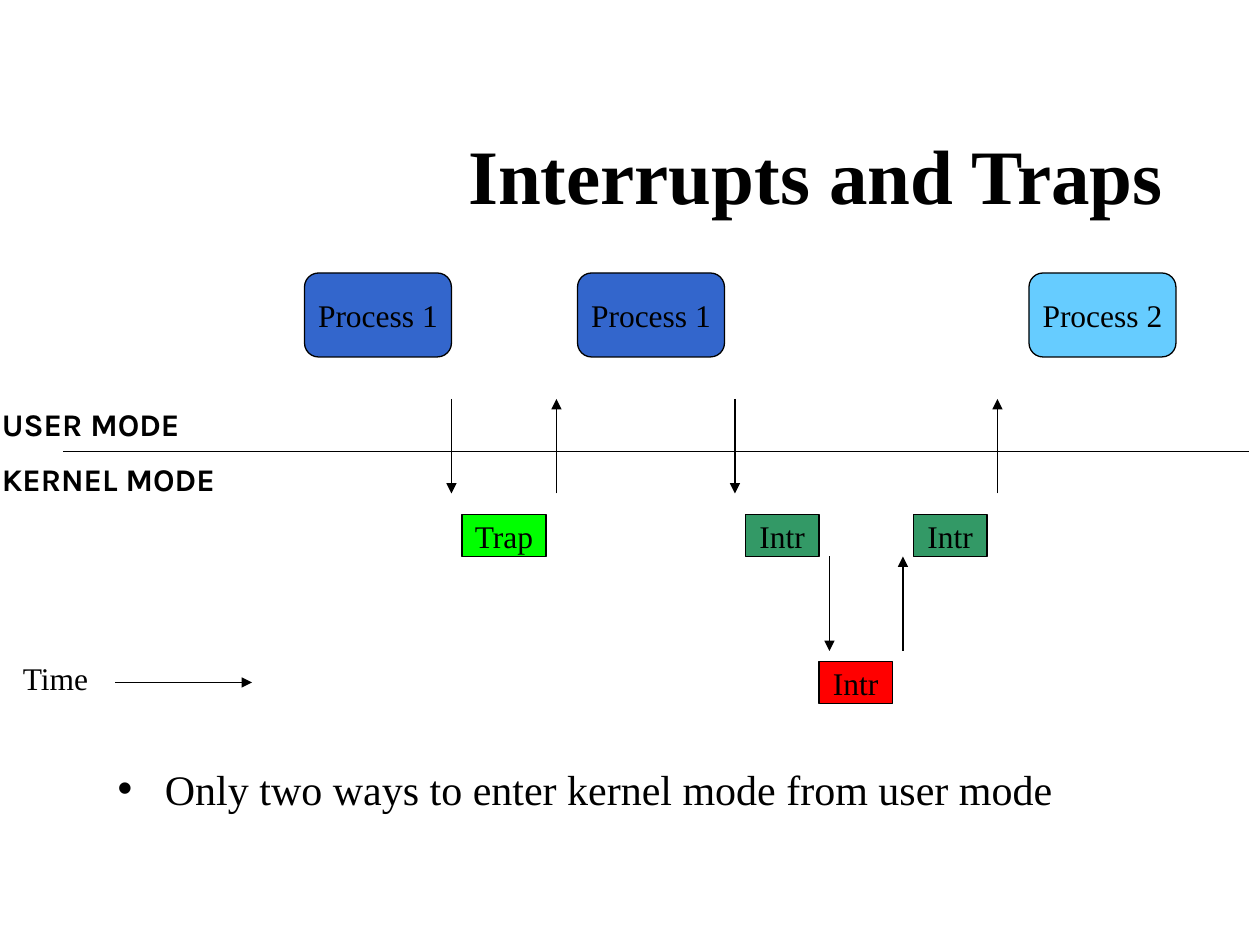
from dataclasses import dataclass

from lxml import etree
from pptx import Presentation
from pptx.dml.color import RGBColor
from pptx.enum.shapes import MSO_CONNECTOR, MSO_SHAPE
from pptx.enum.text import MSO_ANCHOR, MSO_AUTO_SIZE, PP_ALIGN
from pptx.oxml.ns import qn
from pptx.util import Emu, Pt

PX = 7620  # 120 px to the inch
STRAIGHT = MSO_CONNECTOR.STRAIGHT
RECTANGLE, ROUNDED = MSO_SHAPE.RECTANGLE, MSO_SHAPE.ROUNDED_RECTANGLE
TOP, MIDDLE = MSO_ANCHOR.TOP, MSO_ANCHOR.MIDDLE
LEFT, CENTER, RIGHT = PP_ALIGN.LEFT, PP_ALIGN.CENTER, PP_ALIGN.RIGHT
GROW, FIXED = MSO_AUTO_SIZE.SHAPE_TO_FIT_TEXT, MSO_AUTO_SIZE.NONE

SERIF, SANS = "Times New Roman", "Karla"
BLACK, BLUE, SKY = "000000", "3366CC", "66CCFF"
LIME, GREEN, RED = "00FF00", "339966", "FF0000"

PROCESS_TOP, PROCESS_WIDTH, PROCESS_HEIGHT = 260, 140, 80
HANDLER_TOP, NESTED_TOP, HANDLER_HEIGHT = 490, 630, 40
TRAP_WIDTH, INTERRUPT_WIDTH = 80, 70
USER_Y, MODE_Y, KERNEL_Y = 380, 430, 470
HANDLER_BOTTOM, NESTED_Y = 530, 620
TIME_Y = 650


@dataclass
class Box:
    text: str
    left: int
    top: int
    width: int
    height: int
    color: str
    preset: MSO_SHAPE = RECTANGLE


@dataclass
class Label:
    text: str
    left: int
    top: int
    width: int
    font: dict
    height: int = 48


@dataclass
class Line:
    x1: int
    y1: int
    x2: int
    y2: int
    arrow: bool = True


def process(text: str, left: int, color: str) -> Box:
    return Box(text, left, PROCESS_TOP, PROCESS_WIDTH, PROCESS_HEIGHT, color, ROUNDED)


def handler(text: str, left: int, top: int, width: int, color: str) -> Box:
    return Box(text, left, top, width, HANDLER_HEIGHT, color)


SERIF_FONT = {"name": SERIF, "size": Pt(18), "bold": False}
MODE_FONT = {"name": SANS, "size": Pt(18), "bold": True}

BOXES = [
    process("Process 1", 290, BLUE),
    process("Process 1", 550, BLUE),
    process("Process 2", 980, SKY),
    handler("Trap", 440, HANDLER_TOP, TRAP_WIDTH, LIME),
    handler("Intr", 710, HANDLER_TOP, INTERRUPT_WIDTH, GREEN),
    handler("Intr", 780, NESTED_TOP, INTERRUPT_WIDTH, RED),
    handler("Intr", 870, HANDLER_TOP, INTERRUPT_WIDTH, GREEN),
]
LABELS = [
    Label("USER MODE", -10, 380, 217, MODE_FONT),
    Label("KERNEL MODE", -10, 432, 257, MODE_FONT),
    Label("Time", 10, 622, 137, SERIF_FONT),
]
LINES = [
    Line(60, MODE_Y, 1190, MODE_Y, arrow=False),
    Line(110, TIME_Y, 240, TIME_Y),
    *(Line(x, USER_Y, x, KERNEL_Y) for x in (430, 700)),
    *(Line(x, KERNEL_Y, x, USER_Y) for x in (530, 950)),
    Line(790, HANDLER_BOTTOM, 790, NESTED_Y),
    Line(860, NESTED_Y, 860, HANDLER_BOTTOM),
]


def px(*lengths: int) -> list[Emu]:
    return [Emu(length * PX) for length in lengths]


def rgb(color: str) -> RGBColor:
    return RGBColor.from_string(color)


def apply(target, values: dict) -> None:
    for name, value in values.items():
        setattr(target, name, value)


def write(shape, text: str, font: dict, frame: dict, layout: dict) -> None:
    text_frame = shape.text_frame
    text_frame.text = text
    paragraph = text_frame.paragraphs[0]
    apply(text_frame, frame)
    apply(paragraph, layout)
    run_font = paragraph.runs[0].font
    apply(run_font, font)
    run_font.color.rgb = rgb(BLACK)


def outline(line) -> None:
    line.color.rgb = rgb(BLACK)
    line.width = Pt(0.75)


def draw_box(slide, box: Box) -> None:
    shape = slide.shapes.add_shape(
        box.preset, *px(box.left, box.top, box.width, box.height))
    shape.shadow.inherit = False
    shape.fill.solid()
    shape.fill.fore_color.rgb = rgb(box.color)
    outline(shape.line)
    write(shape, box.text, SERIF_FONT,
          {"word_wrap": False, "vertical_anchor": MIDDLE}, {"alignment": CENTER})


def draw_label(slide, label: Label) -> None:
    shape = slide.shapes.add_textbox(
        *px(label.left, label.top, label.width, label.height))
    write(shape, label.text, label.font, {"word_wrap": True, "auto_size": GROW},
          {"alignment": LEFT, "space_before": Pt(11.2)})


def draw_line(slide, line: Line) -> None:
    connector = slide.shapes.add_connector(
        STRAIGHT, *px(line.x1, line.y1, line.x2, line.y2))
    outline(connector.line)
    properties = connector._element.spPr
    if line.arrow:
        etree.SubElement(properties.find(qn("a:ln")), qn("a:tailEnd"), type="triangle")
    etree.SubElement(properties, qn("a:effectLst"))


def place(shape, *bounds: int) -> None:
    apply(shape, dict(zip(("left", "top", "width", "height"), px(*bounds))))


def add_bullet(paragraph, indent: int) -> None:
    properties = paragraph._p.get_or_add_pPr()
    properties.set("marL", str(indent * PX))
    properties.set("indent", str(-indent * PX))
    etree.SubElement(properties, qn("a:buChar"), char="•")


def main() -> None:
    presentation = Presentation()
    presentation.slide_width, presentation.slide_height = px(1200, 900)
    slide = presentation.slides.add_slide(presentation.slide_layouts[1])
    title, body = slide.placeholders

    place(title, 70, 90, 1050, 150)
    write(title, "Interrupts and Traps", {"name": SERIF, "size": Pt(44), "bold": True},
          {"vertical_anchor": MIDDLE, "auto_size": FIXED}, {"alignment": RIGHT})
    place(body, 100, 730, 1020, 90)
    write(body, "Only two ways to enter kernel mode from user mode",
          {"name": SERIF, "size": Pt(24)},
          {"vertical_anchor": TOP, "auto_size": FIXED},
          {"alignment": LEFT, "line_spacing": 0.8, "space_before": Pt(6)})
    add_bullet(body.text_frame.paragraphs[0], 45)

    for line in LINES:
        draw_line(slide, line)
    for box in BOXES:
        draw_box(slide, box)
    for label in LABELS:
        draw_label(slide, label)

    presentation.save("out.pptx")


if __name__ == "__main__":
    main()
